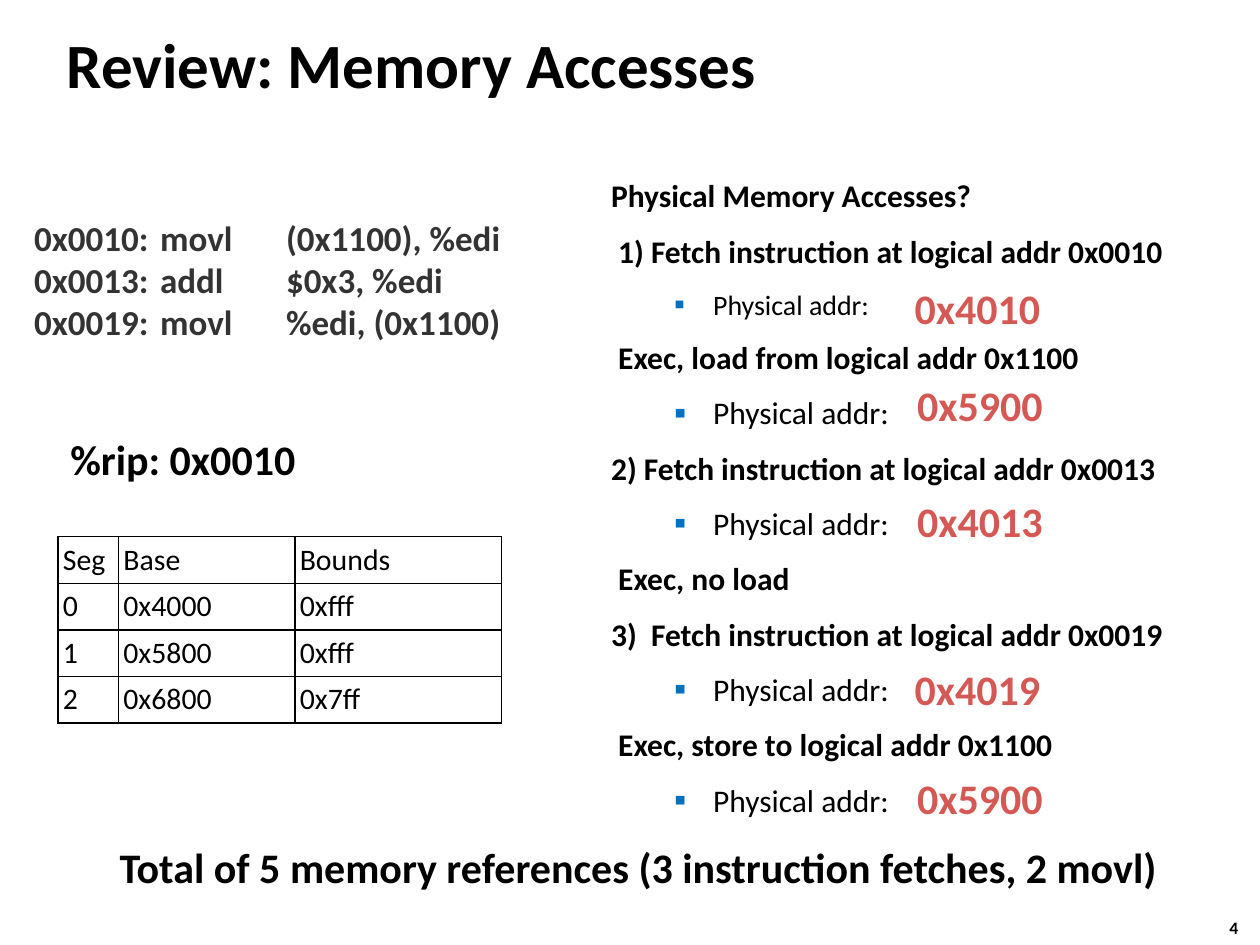
from dataclasses import dataclass

from lxml import etree
from pptx import Presentation, util as u
from pptx.dml import color
from pptx.enum import text
from pptx.oxml import ns

FONT = "Calibri"
BLACK, CODE_GREY, RED, BULLET_BLUE = "000000", "333333", "D45954", "0070C0"


@dataclass
class Label:
    wording: str
    left: float
    top: float
    width: float
    height: float = 0.5
    size: float = 24
    tint: str = BLACK


@dataclass
class Step:
    wording: str
    address_size: float | None = 18


LABELS = [
    Label("0x4010", 7.16, 2.19, 1.21, tint=RED),
    Label("0x5900", 7.18, 2.96, 1.21, tint=RED),
    Label("0x4013", 7.18, 3.88, 1.21, tint=RED),
    Label("0x4019", 7.16, 5.22, 1.21, tint=RED),
    Label("0x5900", 7.18, 6.08, 1.21, tint=RED),
    Label("%rip: 0x0010", 0.46, 3.39, 2),
    Label("Total of 5 memory references (3 instruction fetches, 2 movl)", 0.85, 6.63, 8.52),
    Label("4", 9.66, 7.23, 0.37, 0.27, size=10),
]

STEPS = [
    Step("Physical Memory Accesses?", None),
    Step(" 1) Fetch instruction at logical addr 0x0010", 16),
    Step(" Exec, load from logical addr 0x1100"),
    Step("2) Fetch instruction at logical addr 0x0013"),
    Step(" Exec, no load", None),
    Step("3)  Fetch instruction at logical addr 0x0019"),
    Step(" Exec, store to logical addr 0x1100"),
]

INSTRUCTIONS = [
    "0x0010:\tmovl\t(0x1100), %edi",
    "0x0013:\taddl\t$0x3, %edi",
    "0x0019:\tmovl\t%edi, (0x1100)",
]

SEGMENTS = [
    ("Seg", "Base", "Bounds"),
    ("0", "0x4000", "0xfff"),
    ("1", "0x5800", "0xfff"),
    ("2", "0x6800", "0x7ff"),
]


def rgb(value: str) -> color.RGBColor:
    return color.RGBColor.from_string(value)


def add_run(paragraph, wording: str, size: float, tint: str = BLACK, bold: bool = True) -> None:
    run = paragraph.add_run()
    run.text = wording
    run.font.name = FONT
    run.font.size = u.Pt(size)
    run.font.bold = bold
    run.font.color.rgb = rgb(tint)


def add_xml(parent, tag: str, **attributes: str):
    return etree.SubElement(parent, ns.qn(tag), attributes)


def place(shape, left: float, top: float, width: float, height: float):
    shape.left, shape.top = u.Inches(left), u.Inches(top)
    shape.width, shape.height = u.Inches(width), u.Inches(height)
    frame = shape.text_frame
    frame.word_wrap = True
    frame.auto_size = text.MSO_AUTO_SIZE.NONE
    return frame


def add_paragraph(frame, first: bool, margin: float, hanging: float, before: float = 0, level: int = 0):
    paragraph = frame.paragraphs[0] if first else frame.add_paragraph()
    paragraph.level = level
    paragraph.alignment = text.PP_ALIGN.LEFT
    paragraph.space_before = u.Pt(before)
    properties = paragraph._p.get_or_add_pPr()
    properties.set("marL", str(u.Inches(margin)))
    properties.set("indent", str(-u.Inches(hanging)))
    if level:
        add_xml(add_xml(properties, "a:buClr"), "a:srgbClr", val=BULLET_BLUE)
        add_xml(properties, "a:buSzPct", val="110000")
        add_xml(properties, "a:buChar", char="▪")
    else:
        add_xml(properties, "a:buNone")
    return paragraph


def fill_code(frame) -> None:
    for index, instruction in enumerate(INSTRUCTIONS):
        paragraph = add_paragraph(frame, index == 0, 0, 0)
        tabs = add_xml(paragraph._p.get_or_add_pPr(), "a:tabLst")
        for stop in (1.08, 1.78):
            add_xml(tabs, "a:tab", pos=str(u.Inches(stop)), algn="l")
        add_run(paragraph, instruction, 20, CODE_GREY)


def fill_steps(frame) -> None:
    for index, step in enumerate(STEPS):
        add_run(add_paragraph(frame, index == 0, 0.38, 0.38, 10), step.wording, 18)
        if step.address_size:
            address = add_paragraph(frame, False, 0.81, 0.31, 10, level=1)
            add_run(address, "Physical addr:", step.address_size, bold=False)


def add_borders(cell) -> None:
    properties = cell._tc.get_or_add_tcPr()
    for position, side in enumerate(("a:lnL", "a:lnR", "a:lnT", "a:lnB")):
        border = etree.Element(ns.qn(side), w=str(u.Pt(1)))
        add_xml(add_xml(border, "a:solidFill"), "a:srgbClr", val=BLACK)
        properties.insert(position, border)


def add_segment_table(slide) -> None:
    table = slide.shapes.add_table(
        len(SEGMENTS), 3, u.Inches(0.46), u.Inches(4.26), u.Inches(3.52), u.Inches(1.48)
    ).table
    table.first_row = table.horz_banding = False
    for column, width in zip(table.columns, (0.48, 1.4, 1.64)):
        column.width = u.Inches(width)
    for row, segment in zip(table.rows, SEGMENTS):
        row.height = u.Inches(0.37)
        for cell, value in zip(row.cells, segment):
            cell.fill.background()
            cell.vertical_anchor = text.MSO_ANCHOR.MIDDLE
            cell.margin_left = cell.margin_right = u.Inches(0.04)
            cell.margin_top = cell.margin_bottom = u.Inches(0.04)
            add_run(cell.text_frame.paragraphs[0], value, 17, bold=False)
            add_borders(cell)


def add_label(slide, label: Label) -> None:
    box = slide.shapes.add_textbox(0, 0, 0, 0)
    frame = place(box, label.left, label.top, label.width, label.height)
    frame.word_wrap = False
    frame.auto_size = text.MSO_AUTO_SIZE.SHAPE_TO_FIT_TEXT
    add_run(frame.paragraphs[0], label.wording, label.size, label.tint)


def main() -> None:
    deck = Presentation()
    deck.slide_width, deck.slide_height = u.Inches(10), u.Inches(7.5)
    slide = deck.slides.add_slide(deck.slide_layouts[3])
    title, code, accesses = slide.placeholders

    heading = place(title, 0.43, 0.09, 8.3, 0.83)
    heading.vertical_anchor = text.MSO_ANCHOR.MIDDLE
    add_run(add_paragraph(heading, True, 0.13, 0.13), "Review: Memory Accesses", 36)

    fill_code(place(code, 0.17, 1.67, 4.58, 4.7))
    fill_steps(place(accesses, 4.75, 1.35, 4.88, 5.53))
    add_segment_table(slide)
    for label in LABELS:
        add_label(slide, label)
    deck.save("out.pptx")


if __name__ == "__main__":
    main()
